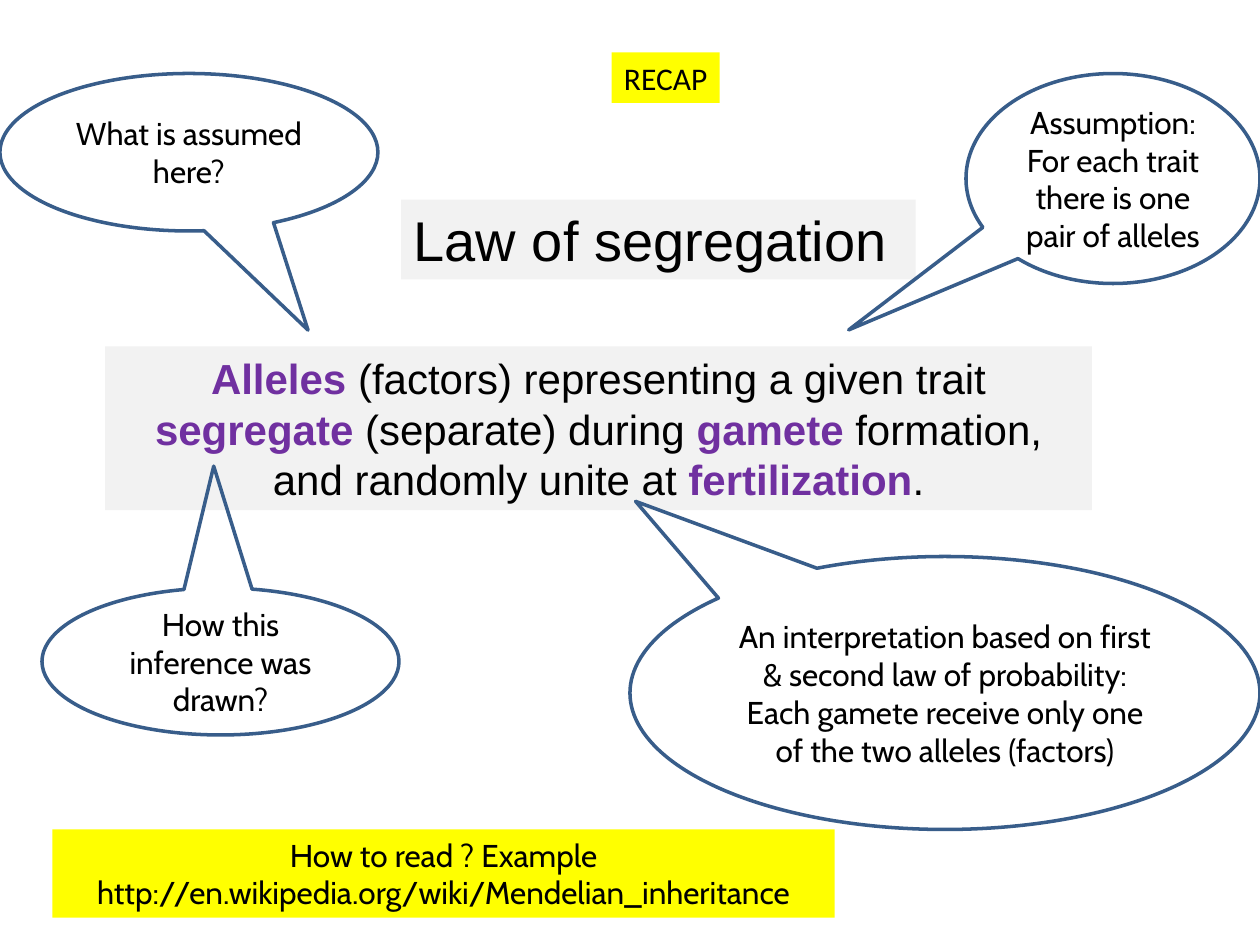
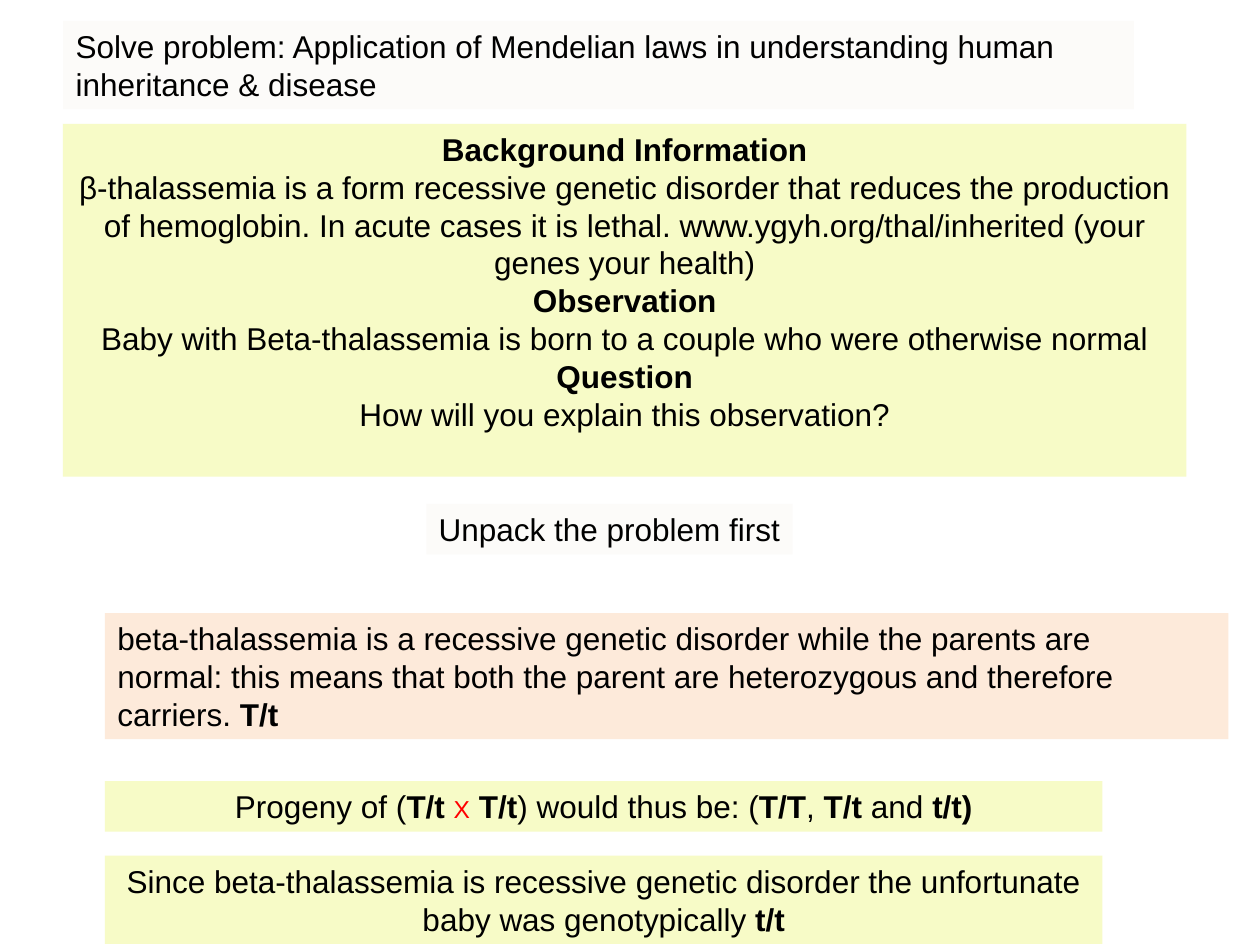
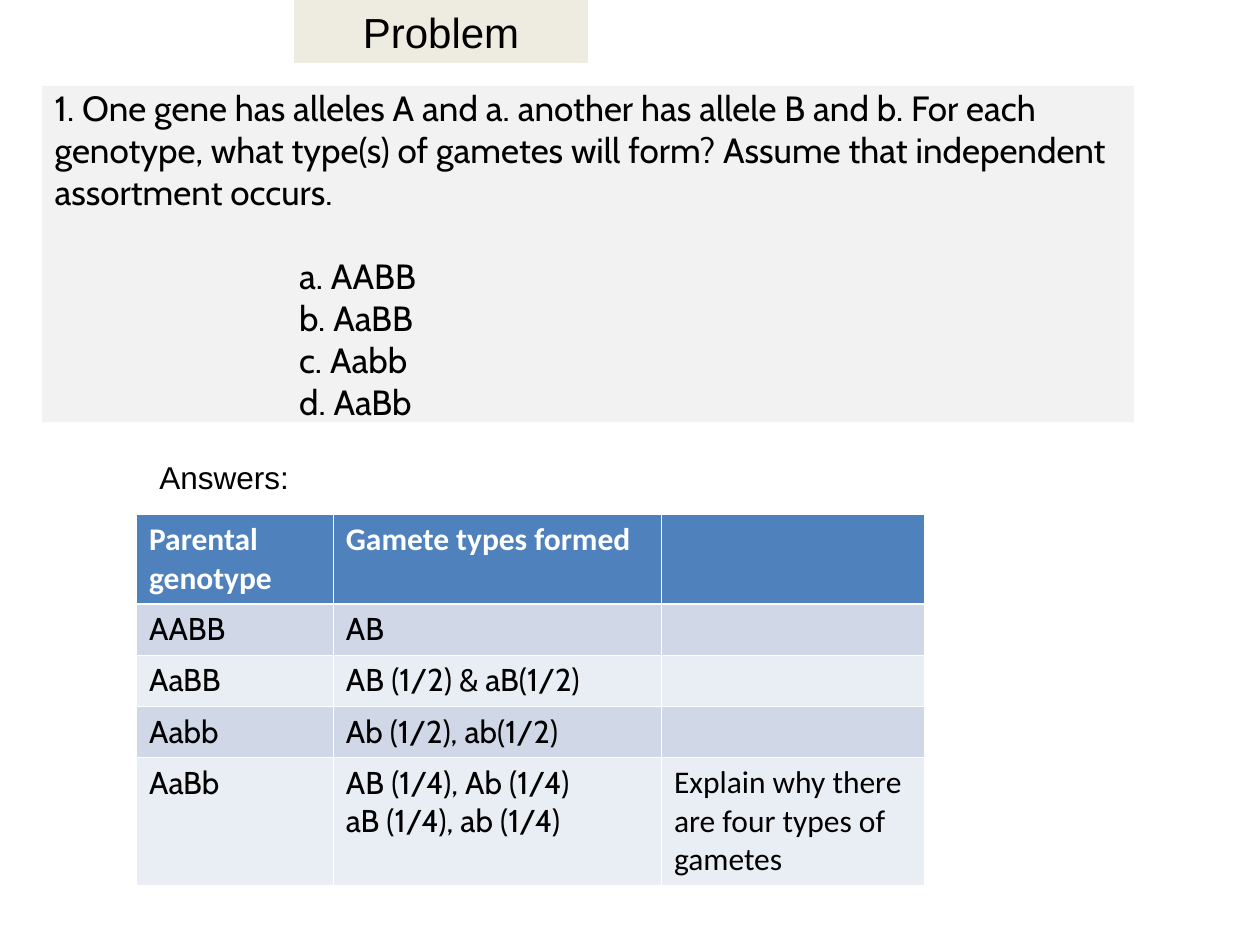
import pptx
import pptx.dml.color
import pptx.enum.shapes
import pptx.enum.text
import pptx.oxml
import pptx.oxml.ns
import pptx.util

ALIGN = pptx.enum.text.PP_ALIGN
ANCHOR = pptx.enum.text.MSO_ANCHOR
SHAPE = pptx.enum.shapes.MSO_SHAPE

# Grid of 120 columns by 90 rows; boxes are (column, row, columns, rows)
COLS, ROWS = 120, 90
WIDTH, HEIGHT = pptx.util.Inches(10), pptx.util.Inches(7.5)

BLACK, WHITE, PURPLE, RED = "000000", "FFFFFF", "7030A0", "FF0000"
GREY, YELLOW, IVORY, LIME = "F2F2F2", "FFFF00", "FCFBF9", "F7FBC7"
PEACH, TAN, OUTLINE = "FDEADA", "EEECE1", "385D8A"
HEADER, BANDS = "4F81BD", ("D0D8E8", "E9EDF4")

BOLD = {"bold": True}
KEY = {"bold": True, "color": PURPLE}


def rgb(value):
    return pptx.dml.color.RGBColor.from_string(value)


def place(box):
    """Turn a grid box into left, top, width and height."""
    col, row, cols, rows = box
    return [int(n) for n in (col * WIDTH / COLS, row * HEIGHT / ROWS,
                             cols * WIDTH / COLS, rows * HEIGHT / ROWS)]


def write(tf, paragraphs, size=18, font="Arial", color=BLACK, bold=False,
          align=ALIGN.LEFT, anchor=ANCHOR.TOP, wrap=True, pad=0.05):
    """Fill a text frame; a paragraph is a string or a list of runs,
    and a run is a string or a pair of text and changed format."""
    tf.auto_size = pptx.enum.text.MSO_AUTO_SIZE.NONE
    tf.word_wrap = wrap
    tf.vertical_anchor = anchor
    tf.margin_left = tf.margin_right = pptx.util.Inches(0.1)
    tf.margin_top = tf.margin_bottom = pptx.util.Inches(pad)
    for i, runs in enumerate(paragraphs):
        p = tf.add_paragraph() if i else tf.paragraphs[0]
        pPr = p._p.get_or_add_pPr()
        pPr.set("marL", "0")
        pPr.set("indent", "0")
        pptx.oxml.ns.qn("a:buNone")
        pPr.append(pptx.oxml.parse_xml(
            f'<a:buNone {pptx.oxml.ns.nsdecls("a")}/>'))
        p.alignment = align
        p.space_before = pptx.util.Pt(0)
        for run in [runs] if isinstance(runs, str) else runs:
            text, change = (run, {}) if isinstance(run, str) else run
            r = p.add_run()
            r.text = text
            r.font.name = font
            r.font.size = pptx.util.Pt(change.get("size", size))
            r.font.bold = change.get("bold", bold)
            r.font.color.rgb = rgb(change.get("color", color))


def dress(sp, fill=None, line=None):
    if fill:
        sp.fill.solid()
        sp.fill.fore_color.rgb = rgb(fill)
    else:
        sp.fill.background()
    if line:
        sp.line.color.rgb = rgb(line)
        sp.line.width = pptx.util.Pt(2)
    else:
        sp.line.fill.background()
    sp.shadow.inherit = False


def fill_placeholder(sp, box, paragraphs, fill, **fmt):
    sp.left, sp.top, sp.width, sp.height = place(box)
    dress(sp, fill)
    write(sp.text_frame, paragraphs, **fmt)


def add_panel(s, box, paragraphs, fill, **fmt):
    sp = s.shapes.add_shape(SHAPE.RECTANGLE, *place(box))
    dress(sp, fill)
    write(sp.text_frame, paragraphs, **fmt)
    return sp


def add_callout(s, box, tip, paragraphs):
    """Add a speech bubble; tip is the pointer's offset from the centre in shares of the box."""
    sp = s.shapes.add_shape(SHAPE.OVAL_CALLOUT, *place(box))
    sp.adjustments[0], sp.adjustments[1] = tip
    dress(sp, line=OUTLINE)
    write(sp.text_frame, paragraphs, font="Cabin", align=ALIGN.CENTER,
          anchor=ANCHOR.MIDDLE)


def set_borders(cell, top, bottom):
    tcPr = cell._tc.get_or_add_tcPr()
    sides = (("lnL", 0.45), ("lnR", 0.45), ("lnT", top), ("lnB", bottom))
    for i, (side, points) in enumerate(sides):
        tcPr.insert(i, pptx.oxml.parse_xml(
            f'<a:{side} {pptx.oxml.ns.nsdecls("a")} w="{pptx.util.Pt(points)}">'
            f'<a:solidFill><a:srgbClr val="{WHITE}"/></a:solidFill></a:{side}>'))


def add_answer_table(s, box, rows, widths, heights):
    """Add a table whose widths and heights are shares of its box."""
    left, top, width, height = place(box)
    table = s.shapes.add_table(len(rows), len(widths), left, top, width, height).table
    for column, share in zip(table.columns, widths):
        column.width = int(width * share / sum(widths))
    for row, share in zip(table.rows, heights):
        row.height = int(height * share / sum(heights))
    for i, row in enumerate(rows):
        for j, text in enumerate(row):
            cell = table.cell(i, j)
            cell.fill.solid()
            cell.fill.fore_color.rgb = rgb(BANDS[(i - 1) % 2] if i else HEADER)
            set_borders(cell, 1.47 if i == 1 else 0.45, 0.45 if i else 1.47)
            if text:
                write(cell.text_frame, text.split("\n"), bold=i == 0,
                      font="Calibri" if i == 0 or j == 2 else "Cabin",
                      color=BLACK if i else WHITE)


def segregation_slide(prs):
    s = prs.slides.add_slide(prs.slide_layouts[5])
    fill_placeholder(s.shapes.title, (38.2, 19, 49, 7.6), ["Law of segregation"],
                     GREY, size=32)
    law = [("Alleles ", KEY), "(factors) representing a given trait ",
           ("segregate", KEY), " (separate) during ", ("gamete", KEY),
           " formation, and randomly unite at ", ("fertilization", KEY), "."]
    add_panel(s, (10, 33, 94, 15.6), [law], GREY, size=24, align=ALIGN.CENTER)
    add_panel(s, (58.25, 5, 10.3, 4.8), ["RECAP"], YELLOW, font="Calibri", wrap=False)
    callouts = [
        ((0, 7, 36, 15), (0.315, 1.129), ["What is assumed here?"]),
        ((4, 56, 34, 14), (-0.019, -1.329), ["How this inference was drawn?"]),
        ((92, 7, 28, 20), (-0.899, 0.721),
         ["Assumption:", "For each trait there is one pair of alleles"]),
        ((60, 53, 60, 26), (-0.491, -0.702),
         ["An interpretation based on first & second law of probability:",
          "Each gamete receive only one of the two alleles (factors)"]),
    ]
    for callout in callouts:
        add_callout(s, *callout)
    add_panel(s, (5, 79, 74.5, 8.4),
              ["How to read ? Example",
               "http://en.wikipedia.org/wiki/Mendelian_inheritance"],
              YELLOW, font="Cabin", align=ALIGN.CENTER, wrap=False)


def application_slide(prs):
    s = prs.slides.add_slide(prs.slide_layouts[5])
    fill_placeholder(s.shapes.title, (6, 2, 102, 8.4),
                     ["Solve problem: Application of Mendelian laws in "
                      "understanding human inheritance & disease"], IVORY)
    background = [
        [("Background Information", BOLD)],
        "β-thalassemia is a form recessive genetic disorder that reduces the "
        "production of hemoglobin. In acute cases it is lethal. "
        "www.ygyh.org/thal/inherited (your genes your health)",
        [("Observation", BOLD)],
        "Baby with Beta-thalassemia is born to a couple who were otherwise normal",
        [("Question", BOLD)],
        "How will you explain this observation?",
    ]
    add_panel(s, (6, 11.8, 107, 33.6), background, LIME, align=ALIGN.CENTER)
    add_panel(s, (40.6, 48, 34.9, 4.8), ["Unpack the problem first"], IVORY, wrap=False)
    parents = ["beta-thalassemia is a recessive genetic disorder while the parents "
               "are normal: this means that both the parent are heterozygous and "
               "therefore carriers. ", ("T/t", BOLD)]
    sp = add_panel(s, (10, 58.4, 107, 12), [parents], PEACH)
    sp.text_frame.margin_right = pptx.util.Inches(0.3)
    progeny = ["Progeny of (", ("T/t ", BOLD), ("X", {"size": 14, "color": RED}), " ",
               ("T/t", BOLD), ") would thus be: (", ("T/T", BOLD), ", ",
               ("T/t ", BOLD), "and ", ("t/t)", BOLD)]
    add_panel(s, (10, 74.4, 95, 4.8), [progeny], LIME, align=ALIGN.CENTER)
    baby = ["Since beta-thalassemia is recessive genetic disorder the unfortunate "
            "baby was genotypically ", ("t/t", BOLD)]
    add_panel(s, (10, 81.5, 95, 8.4), [baby], LIME, align=ALIGN.CENTER)


def problem_slide(prs):
    s = prs.slides.add_slide(prs.slide_layouts[1])
    fill_placeholder(s.shapes.title, (28, 0, 28, 6), ["Problem"], TAN,
                     size=24, align=ALIGN.CENTER)
    question = ["1. One gene has alleles A and a. another has allele B and b. "
                "For each genotype, what type(s) of gametes will form? "
                "Assume that independent assortment occurs."]
    genotypes = ["a. AABB", "b. AaBB", "c. Aabb", "d. AaBb"]
    body = s.placeholders[1]
    fill_placeholder(body, (4, 8.2, 104, 32), question + genotypes, GREY, size=20,
                     font="Cabin", anchor=ANCHOR.MIDDLE, pad=0)
    options = body.text_frame.paragraphs[1:]
    options[0].space_before = pptx.util.Pt(24)
    for p in options:
        p._p.get_or_add_pPr().set("marL", str(pptx.util.Inches(1.94)))
    tb = s.shapes.add_textbox(*place((14, 43, 15.6, 4.8)))
    write(tb.text_frame, ["Answers:"], wrap=False)
    answers = [
        ("Parental genotype", "Gamete types formed", ""),
        ("AABB", "AB", ""),
        ("AaBB", "AB (1/2) & aB(1/2)", ""),
        ("Aabb", "Ab (1/2), ab(1/2)", ""),
        ("AaBb", "AB (1/4), Ab (1/4)\naB (1/4), ab (1/4)",
         "Explain why there are four types of gametes"),
    ]
    add_answer_table(s, (13, 49, 75, 35), answers, (1.56, 2.6, 2.08),
                     (0.7, 0.4, 0.4, 0.4, 1))


def main():
    prs = pptx.Presentation()
    prs.slide_width, prs.slide_height = WIDTH, HEIGHT
    segregation_slide(prs)
    application_slide(prs)
    problem_slide(prs)
    prs.save("out.pptx")


if __name__ == "__main__":
    main()
